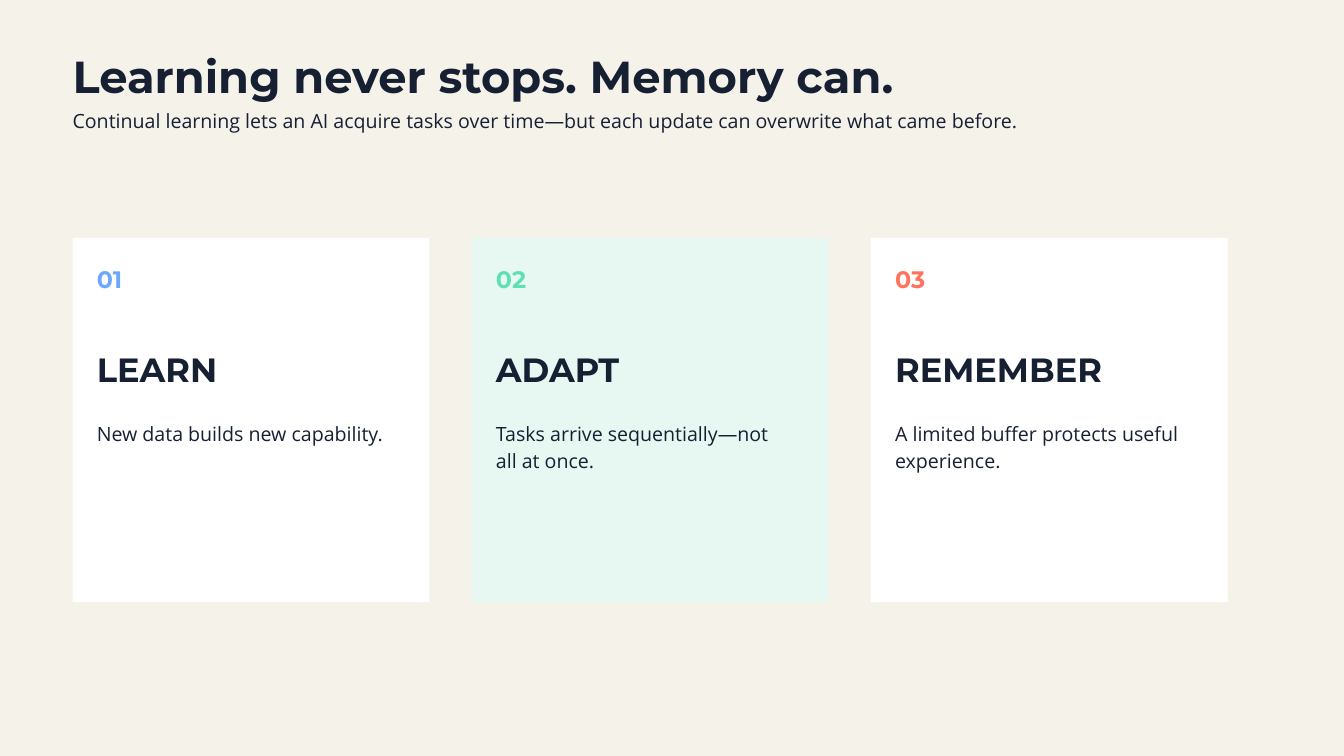
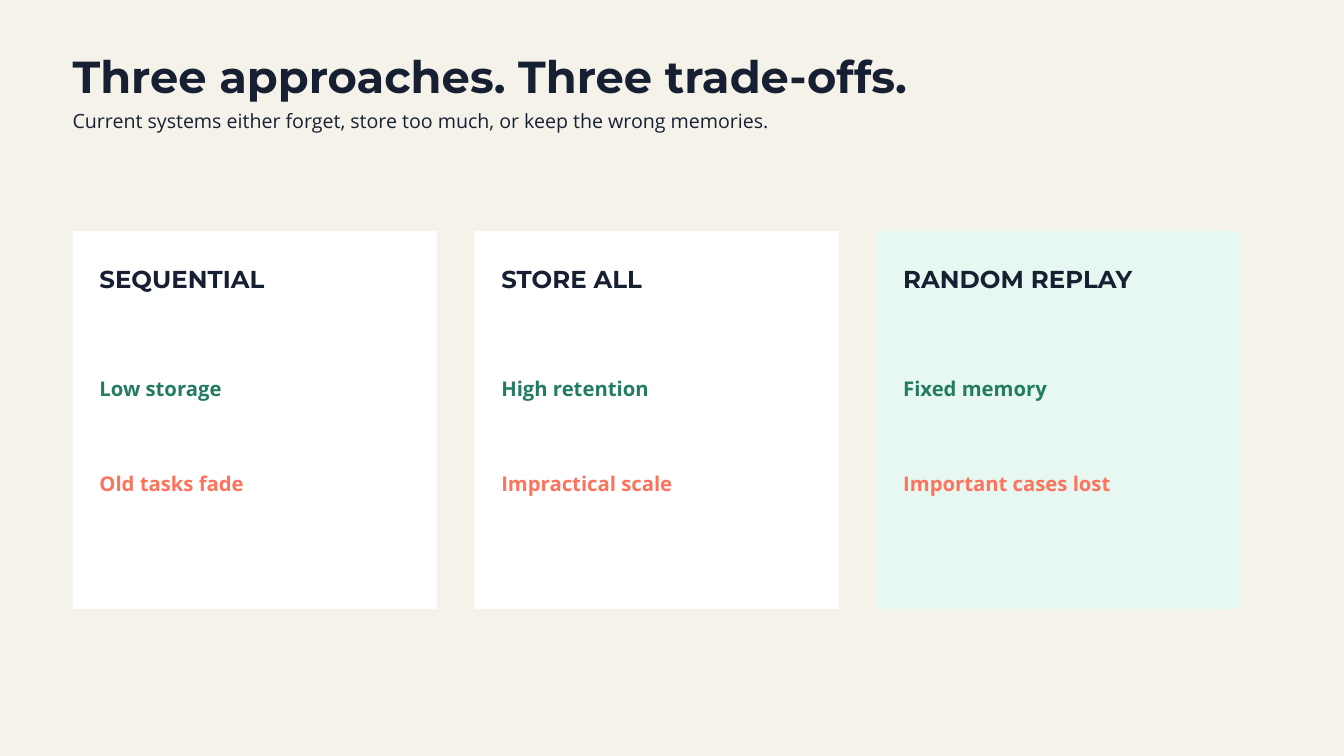
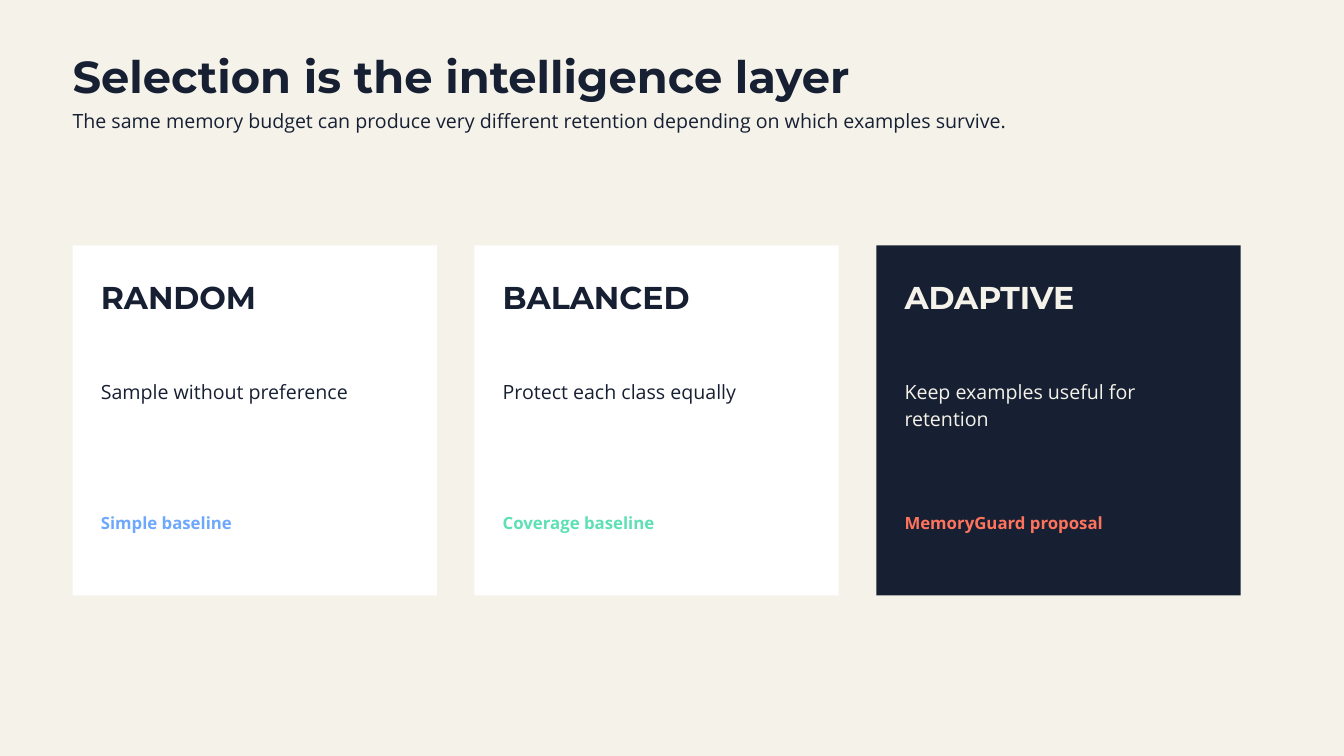
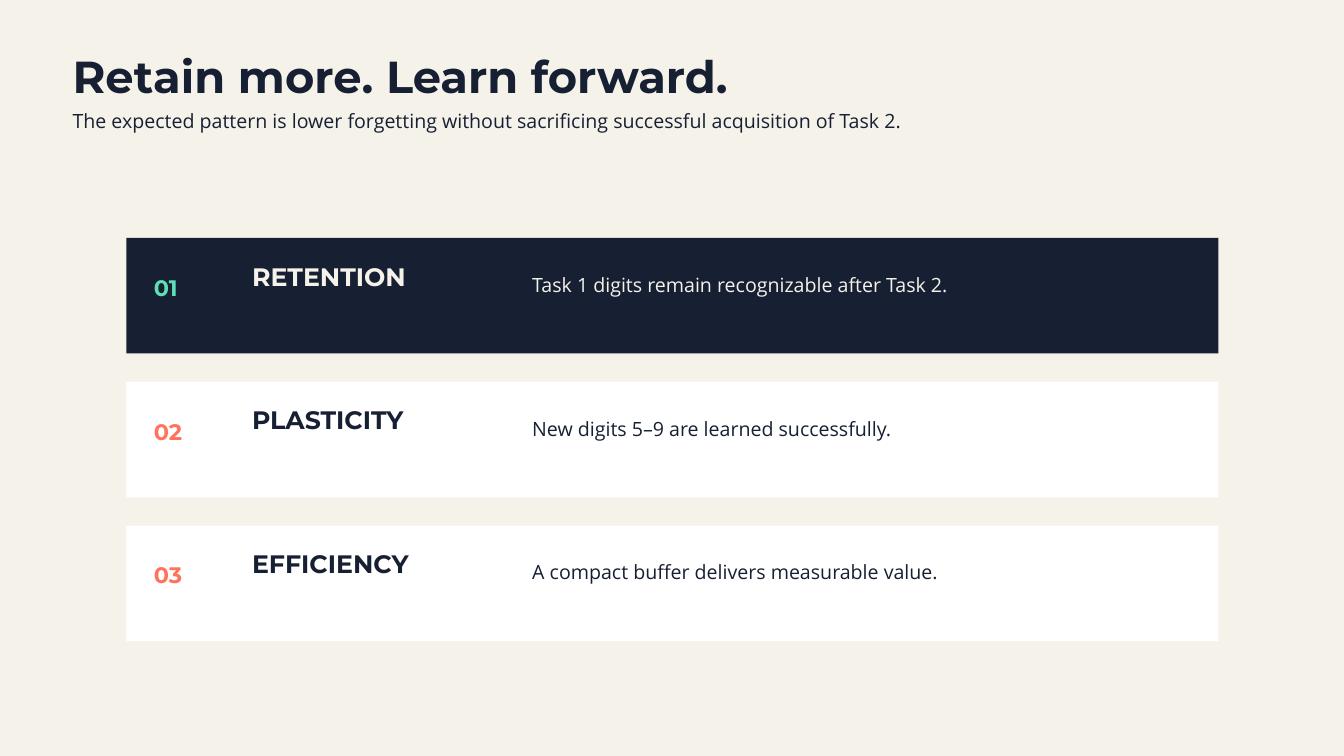
import dataclasses
import typing

import pptx
import pptx.dml.color
import pptx.enum.shapes
import pptx.enum.text
import pptx.util

Inches = pptx.util.Inches


class Type(typing.NamedTuple):
    font: str
    size: float
    lead: float  # line height as a multiple of the size
    bold: bool = True

    def line(self) -> pptx.util.Length:
        return pptx.util.Pt(self.size * self.lead)


@dataclasses.dataclass(frozen=True)
class Theme:
    # Colours
    cream: str = "F5F2EA"
    navy: str = "172033"
    white: str = "FFFFFF"
    mint: str = "E6F8F1"
    blue: str = "6EA8FE"
    green: str = "5EE0B5"
    forest: str = "237B61"
    coral: str = "FF735C"
    # Type styles
    title: Type = Type("Montserrat", 48, 1.05)
    body: Type = Type("Open Sans", 21, 1.4, False)
    count: Type = Type("Montserrat", 25.5, 1.4)
    step: Type = Type("Montserrat", 36, 1.05)
    method: Type = Type("Montserrat", 26.25, 1.05)
    trait: Type = Type("Open Sans", 21.75, 1.4)
    policy: Type = Type("Montserrat", 33.75, 1.05)
    tag: Type = Type("Open Sans", 18, 1.4)
    index: Type = Type("Montserrat", 24, 1.4)
    goal: Type = Type("Montserrat", 27, 1.05)


T = Theme()


class Box(typing.NamedTuple):
    left: float
    top: float
    width: float
    height: float

    def place(self) -> tuple[pptx.util.Length, ...]:
        return tuple(Inches(side) for side in self)

    def shift(self, across: float, down: float) -> "Box":
        return self._replace(left=self.left + across, top=self.top + down)


class Slot(typing.NamedTuple):
    box: Box  # measured from the card's corner
    style: Type


class Text(typing.NamedTuple):
    words: str
    ink: str = T.navy
    lines: int = 1


class Card(typing.NamedTuple):
    fill: str
    texts: list[Text]


@dataclasses.dataclass
class Page:
    title: str
    lede: str
    first: Box
    pitch: tuple[float, float]  # across and down, from card to card
    slots: list[Slot]
    cards: list[Card]


HEAD = Box(1.08, 0.83, 15.62, 0.71)
LEDE = Box(1.08, 1.56, 15.42, 0.39)

PAGES = [
    Page(
        "Learning never stops. Memory can.",
        "Continual learning lets an AI acquire tasks over time—but each update can overwrite what came before.",
        Box(1.08, 3.54, 5.31, 5.42), (5.94, 0),
        [Slot(Box(0.36, 0.33, 1.04, 0.46), T.count),
         Slot(Box(0.36, 1.72, 4.48, 0.55), T.step),
         Slot(Box(0.36, 2.68, 4.38, 0.38), T.body)],
        [Card(T.white, [Text("01", T.blue), Text("LEARN"),
                        Text("New data builds new capability.")]),
         Card(T.mint, [Text("02", T.green), Text("ADAPT"),
                       Text("Tasks arrive sequentially—not all at once.", lines=2)]),
         Card(T.white, [Text("03", T.coral), Text("REMEMBER"),
                        Text("A limited buffer protects useful experience.", lines=2)])],
    ),
    Page(
        "Three approaches. Three trade-offs.",
        "Current systems either forget, store too much, or keep the wrong memories.",
        Box(1.08, 3.44, 5.42, 5.62), (5.98, 0),
        [Slot(Box(0.4, 0.55, 4.58, 0.4), T.method),
         Slot(Box(0.4, 2.1, 4.58, 0.39), T.trait),
         Slot(Box(0.4, 3.51, 4.58, 0.39), T.trait)],
        [Card(fill, [Text(name), Text(gain, T.forest), Text(cost, T.coral)])
         for fill, name, gain, cost in [
             (T.white, "SEQUENTIAL", "Low storage", "Old tasks fade"),
             (T.white, "STORE ALL", "High retention", "Impractical scale"),
             (T.mint, "RANDOM REPLAY", "Fixed memory", "Important cases lost")]],
    ),
    Page(
        "Selection is the intelligence layer",
        "The same memory budget can produce very different retention depending on which examples survive.",
        Box(1.08, 3.65, 5.42, 5.21), (5.98, 0),
        [Slot(Box(0.42, 0.56, 4.58, 0.52), T.policy),
         Slot(Box(0.42, 1.94, 4.48, 0.38), T.body),
         Slot(Box(0.42, 3.93, 4.48, 0.32), T.tag)],
        [Card(T.white, [Text("RANDOM"), Text("Sample without preference"),
                        Text("Simple baseline", T.blue)]),
         Card(T.white, [Text("BALANCED"), Text("Protect each class equally"),
                        Text("Coverage baseline", T.green)]),
         Card(T.navy, [Text("ADAPTIVE", T.cream),
                       Text("Keep examples useful for retention", T.cream, 2),
                       Text("MemoryGuard proposal", T.coral)])],
    ),
    Page(
        "Retain more. Learn forward.",
        "The expected pattern is lower forgetting without sacrificing successful acquisition of Task 2.",
        Box(1.88, 3.54, 16.25, 1.72), (0, 2.14),
        [Slot(Box(0.41, 0.47, 1.04, 0.42), T.index),
         Slot(Box(1.87, 0.4, 3.75, 0.41), T.goal),
         Slot(Box(6.04, 0.46, 9.17, 0.38), T.body)],
        [Card(T.navy, [Text("01", T.green), Text("RETENTION", T.cream),
                       Text("Task 1 digits remain recognizable after Task 2.", T.cream)]),
         Card(T.white, [Text("02", T.coral), Text("PLASTICITY"),
                        Text("New digits 5–9 are learned successfully.")]),
         Card(T.white, [Text("03", T.coral), Text("EFFICIENCY"),
                        Text("A compact buffer delivers measurable value.")])],
    ),
]


def tint(code: str) -> pptx.dml.color.RGBColor:
    return pptx.dml.color.RGBColor.from_string(code)


def write(shape: typing.Any, text: Text, style: Type) -> None:
    """Set one styled paragraph, without margins."""
    frame = shape.text_frame
    frame.text = text.words
    frame.word_wrap = True
    frame.auto_size = pptx.enum.text.MSO_AUTO_SIZE.SHAPE_TO_FIT_TEXT
    frame.vertical_anchor = pptx.enum.text.MSO_ANCHOR.TOP
    frame.margin_left = frame.margin_right = 0
    frame.margin_top = frame.margin_bottom = 0
    para = frame.paragraphs[0]
    para.alignment = pptx.enum.text.PP_ALIGN.LEFT
    para.line_spacing = style.line()
    para.space_before = pptx.util.Pt(0)
    font = para.runs[0].font
    font.name, font.size, font.bold = style.font, pptx.util.Pt(style.size), style.bold
    font.color.rgb = tint(text.ink)


def label(shapes: typing.Any, box: Box, text: Text, style: Type) -> None:
    extra = (text.lines - 1) * style.line().inches
    box = box._replace(height=box.height + extra)
    write(shapes.add_textbox(*box.place()), text, style)


def panel(slide: typing.Any, box: Box, card: Card, slots: list[Slot]) -> None:
    """Draw one card as a group: its ground, then its texts."""
    shapes = slide.shapes.add_group_shape().shapes
    ground = shapes.add_shape(pptx.enum.shapes.MSO_SHAPE.RECTANGLE, *box.place())
    ground.shadow.inherit = False
    ground.fill.solid()
    ground.fill.fore_color.rgb = tint(card.fill)
    ground.line.fill.background()
    for slot, text in zip(slots, card.texts):
        label(shapes, slot.box.shift(box.left, box.top), text, slot.style)


def build(deck: typing.Any, page: Page) -> None:
    slide = deck.slides.add_slide(deck.slide_layouts.get_by_name("Title Only"))
    # Heading
    title = slide.shapes.title
    title.left, title.top, title.width, title.height = HEAD.place()
    write(title, Text(page.title), T.title)
    label(slide.shapes, LEDE, Text(page.lede), T.body)
    # Cards at an equal pitch
    across, down = page.pitch
    for i, card in enumerate(page.cards):
        panel(slide, page.first.shift(i * across, i * down), card, page.slots)


def main() -> None:
    deck = pptx.Presentation()
    deck.slide_width, deck.slide_height = Inches(20), Inches(11.25)
    # Shared ground
    ground = deck.slide_master.background.fill
    ground.solid()
    ground.fore_color.rgb = tint(T.cream)
    for page in PAGES:
        build(deck, page)
    deck.save("out.pptx")


if __name__ == "__main__":
    main()
